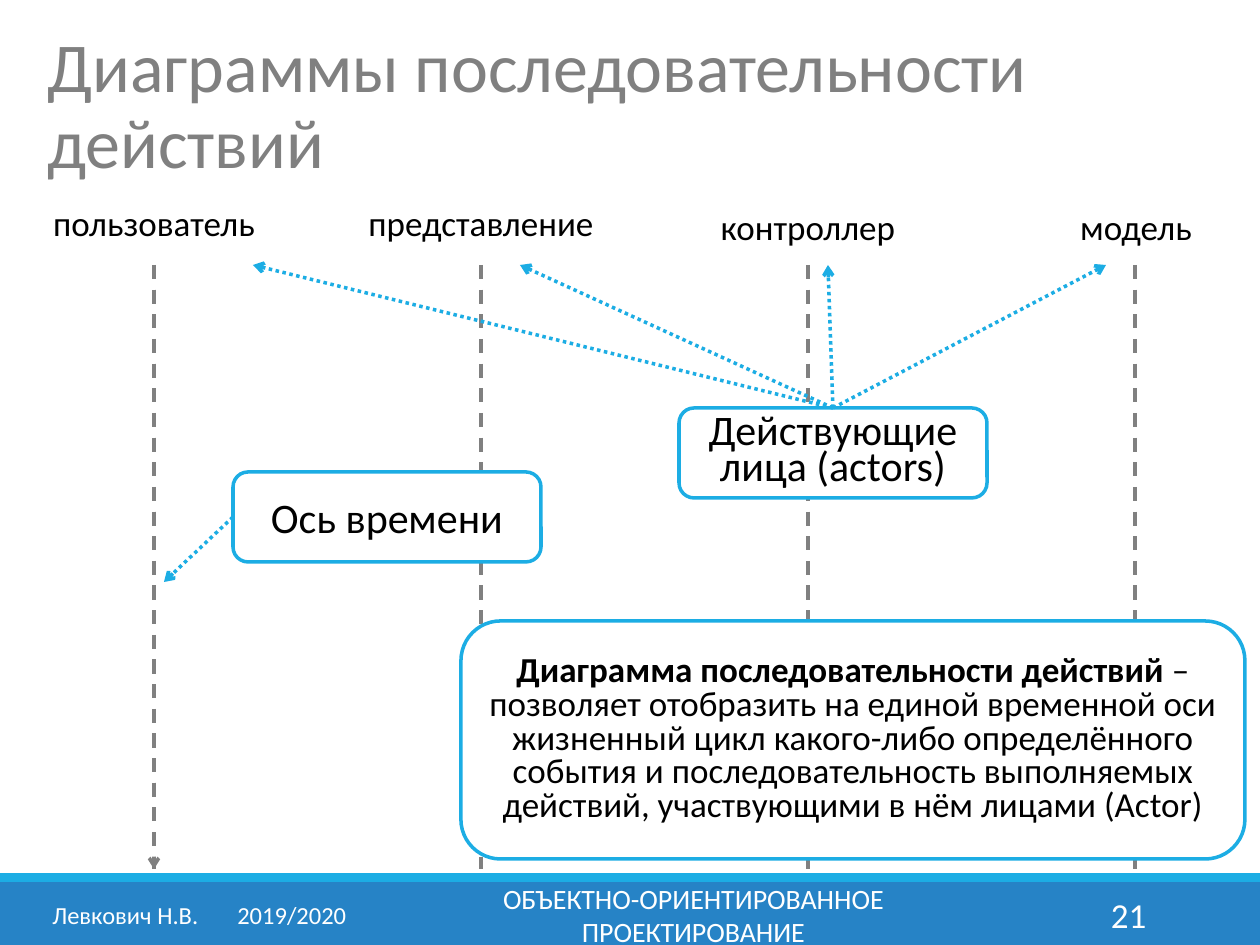
from dataclasses import dataclass

from lxml.etree import SubElement
from pptx import Presentation
from pptx.dml.color import RGBColor
from pptx.enum.dml import MSO_LINE_DASH_STYLE as Dash
from pptx.enum.shapes import MSO_CONNECTOR, MSO_SHAPE
from pptx.enum.text import MSO_ANCHOR as Anchor, MSO_AUTO_SIZE as AutoSize, PP_ALIGN as Align
from pptx.oxml.ns import qn
from pptx.util import Pt

EMU_PER_PX = 914400 / 126
TOP, LEFT = 0, 1  # connection sites of a rectangle


def px(length):
    return round(length * EMU_PER_PX)


@dataclass(frozen=True)
class Theme:
    font: str = "Calibri"
    white: str = "FFFFFF"
    text: str = "000000"
    grey: str = "808080"
    accent: str = "1CADE4"
    band: str = "2683C6"
    title_size: int = 40
    callout_size: int = 24
    body_size: int = 20
    footer_size: int = 16
    small_size: int = 14
    line_width: int = 2


class SlideBuilder:
    def __init__(self, slide, theme):
        self.slide = slide
        self.theme = theme

    def fill_text(self, frame, runs, size, color, align, spacing=None, tab=None):
        """Fill a frame with one paragraph made of (text, bold) runs."""
        frame.word_wrap = True
        paragraph = frame.paragraphs[0]
        paragraph.alignment = align
        if spacing:
            paragraph.line_spacing = spacing
        if tab:
            tab_list = SubElement(paragraph._p.get_or_add_pPr(), qn("a:tabLst"))
            SubElement(tab_list, qn("a:tab"), pos=str(px(tab)), algn="l")
        for text, bold in runs:
            run = paragraph.add_run()
            run.text = text
            font = run.font
            font.name, font.size, font.bold = self.theme.font, Pt(size), bold
            font.color.rgb = RGBColor.from_string(color)

    def text(self, box, text, size, color, align=Align.LEFT, anchor=Anchor.TOP,
             grow=False, spacing=None, tab=None):
        frame = self.slide.shapes.add_textbox(*map(px, box)).text_frame
        frame.vertical_anchor = anchor
        frame.auto_size = AutoSize.SHAPE_TO_FIT_TEXT if grow else AutoSize.NONE
        self.fill_text(frame, [(text, False)], size, color, align, spacing, tab)

    def shape(self, kind, box, fill):
        shape = self.slide.shapes.add_shape(kind, *map(px, box))
        shape.shadow.inherit = False
        shape.fill.solid()
        shape.fill.fore_color.rgb = RGBColor.from_string(fill)
        return shape

    def band(self, box, fill):
        self.shape(MSO_SHAPE.RECTANGLE, box, fill).line.fill.background()

    def callout(self, box, runs, size, spacing=None):
        theme = self.theme
        shape = self.shape(MSO_SHAPE.ROUNDED_RECTANGLE, box, theme.white)
        shape.line.color.rgb = RGBColor.from_string(theme.accent)
        shape.line.width = Pt(theme.line_width)
        shape.text_frame.vertical_anchor = Anchor.MIDDLE
        self.fill_text(shape.text_frame, runs, size, theme.text, Align.CENTER, spacing)
        return shape

    def line(self, start, end, color, dash, arrow=False):
        connector = self.slide.shapes.add_connector(
            MSO_CONNECTOR.STRAIGHT, *map(px, (*start, *end)))
        line = connector.line
        line.color.rgb = RGBColor.from_string(color)
        line.width = Pt(self.theme.line_width)
        line.dash_style = dash
        if arrow:
            SubElement(line._get_or_add_ln(), qn("a:tailEnd"), type="arrow")
        SubElement(connector._element.spPr, qn("a:effectLst"))
        return connector

    def pointer(self, shape, site, start, end):
        connector = self.line(start, end, self.theme.accent, Dash.ROUND_DOT, arrow=True)
        connector.begin_connect(shape, site)


def main():
    presentation = Presentation()
    presentation.slide_width, presentation.slide_height = px(1260), px(945)
    theme = Theme()
    builder = SlideBuilder(
        presentation.slides.add_slide(presentation.slide_layouts[6]), theme)

    # Footer
    builder.band((0, 882, 1260, 63), theme.band)
    builder.band((0, 873, 1260, 9), theme.accent)
    footer = [
        ((380, 890, 627, 50), "ОБЪЕКТНО-ОРИЕНТИРОВАННОЕ ПРОЕКТИРОВАНИЕ",
         theme.footer_size, Align.CENTER, None),
        ((1023, 890, 136, 50), "21", theme.body_size, Align.RIGHT, None),
        ((40, 890, 329, 50), "Левкович Н.В.\t2019/2020", theme.small_size, Align.LEFT, 185),
    ]
    for box, text, size, align, tab in footer:
        builder.text(box, text, size, theme.white, align, Anchor.MIDDLE, tab=tab)

    # Title
    builder.text((35, 26, 1211, 165), "Диаграммы последовательности действий",
                 theme.title_size, theme.grey, grow=True, spacing=0.9)

    # Actor names
    actors = [
        ("пользователь", 35, 195, 238),
        ("представление", 351, 195, 260),
        ("контроллер", 689, 199, 238),
        ("модель", 1017, 199, 238),
    ]
    for name, left, top, width in actors:
        builder.text((left, top, width, 55), name, theme.body_size, theme.text,
                     Align.CENTER, grow=True)

    # Lifelines, with the time axis drawn over the first
    first_x, step, line_top, line_bottom = 154, 327, 265, 869
    for index in range(len(actors)):
        x = first_x + index * step
        builder.line((x, line_top), (x, line_bottom), theme.grey, Dash.DASH)
    builder.line((first_x, line_top), (first_x, line_bottom), theme.grey, Dash.DASH, arrow=True)

    # Time axis callout
    time_box = builder.callout((233, 472, 308, 90), [("Ось времени", False)],
                               theme.callout_size)
    builder.pointer(time_box, LEFT, (233, 517), (164, 582))

    # Actors callout, pointing at every name
    actors_box = builder.callout((679, 408, 308, 90), [("Действующие лица (actors)", False)],
                                 theme.callout_size, spacing=0.7)
    for x in (253, 520, 828, 1106):
        builder.pointer(actors_box, TOP, (833, 408), (x, line_top))

    # Definition
    builder.callout((461, 621, 784, 238), [
        ("Диаграмма последовательности действий", True),
        (" – позволяет отобразить на единой временной оси жизненный цикл какого-либо "
         "определённого события и последовательность выполняемых действий, "
         "участвующими в нём лицами (Actor)", False),
    ], theme.body_size, spacing=0.8)

    presentation.save("out.pptx")


if __name__ == "__main__":
    main()
